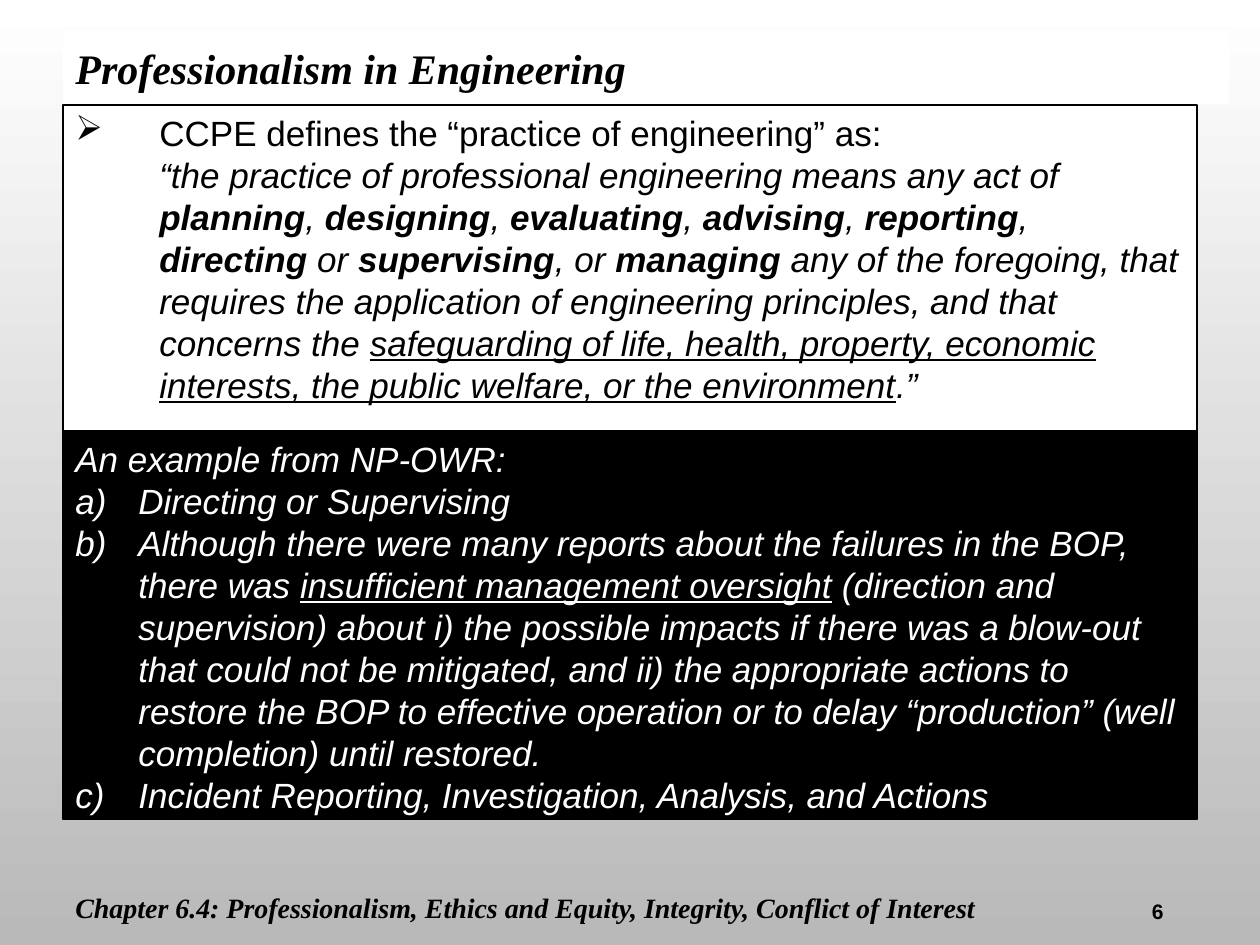
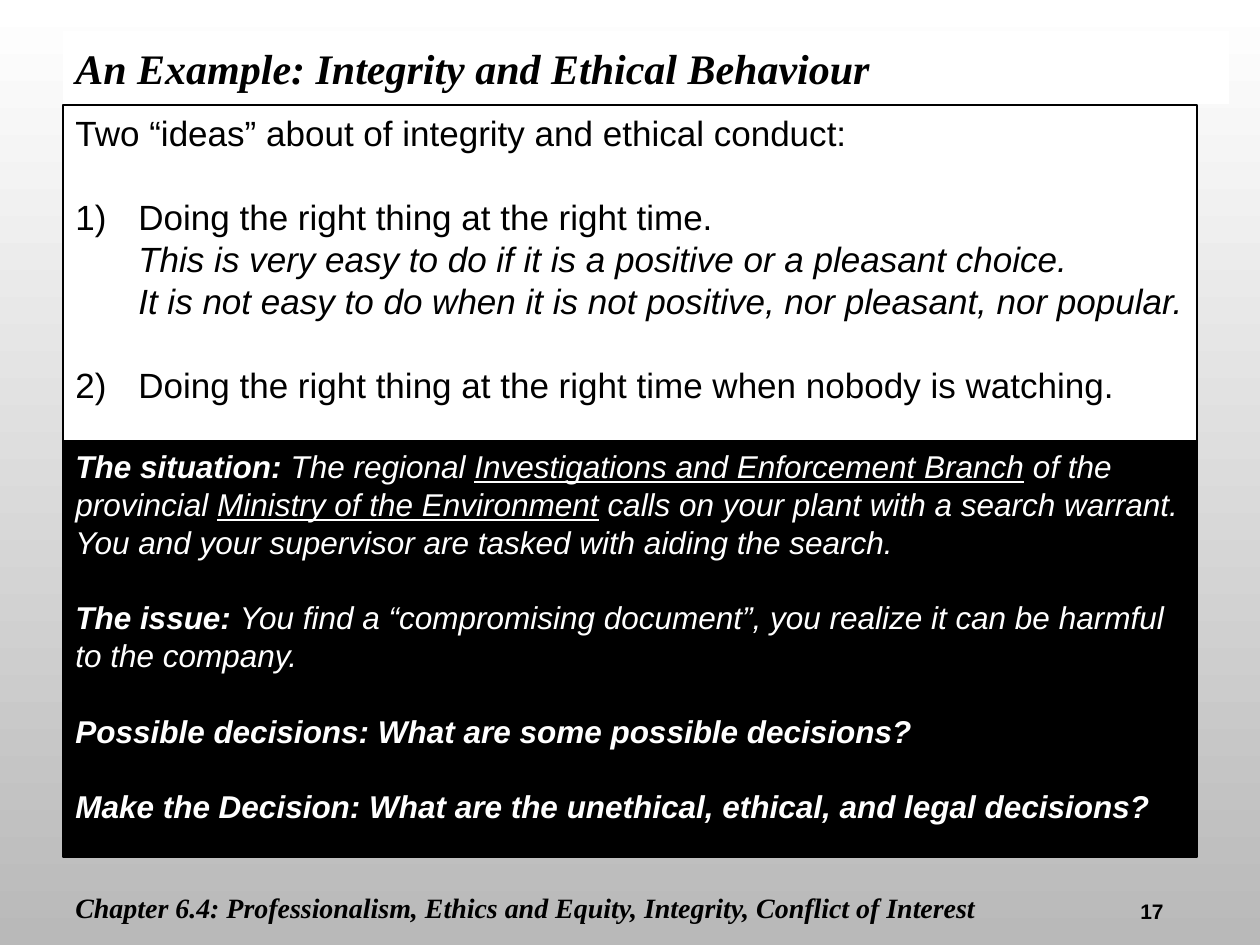
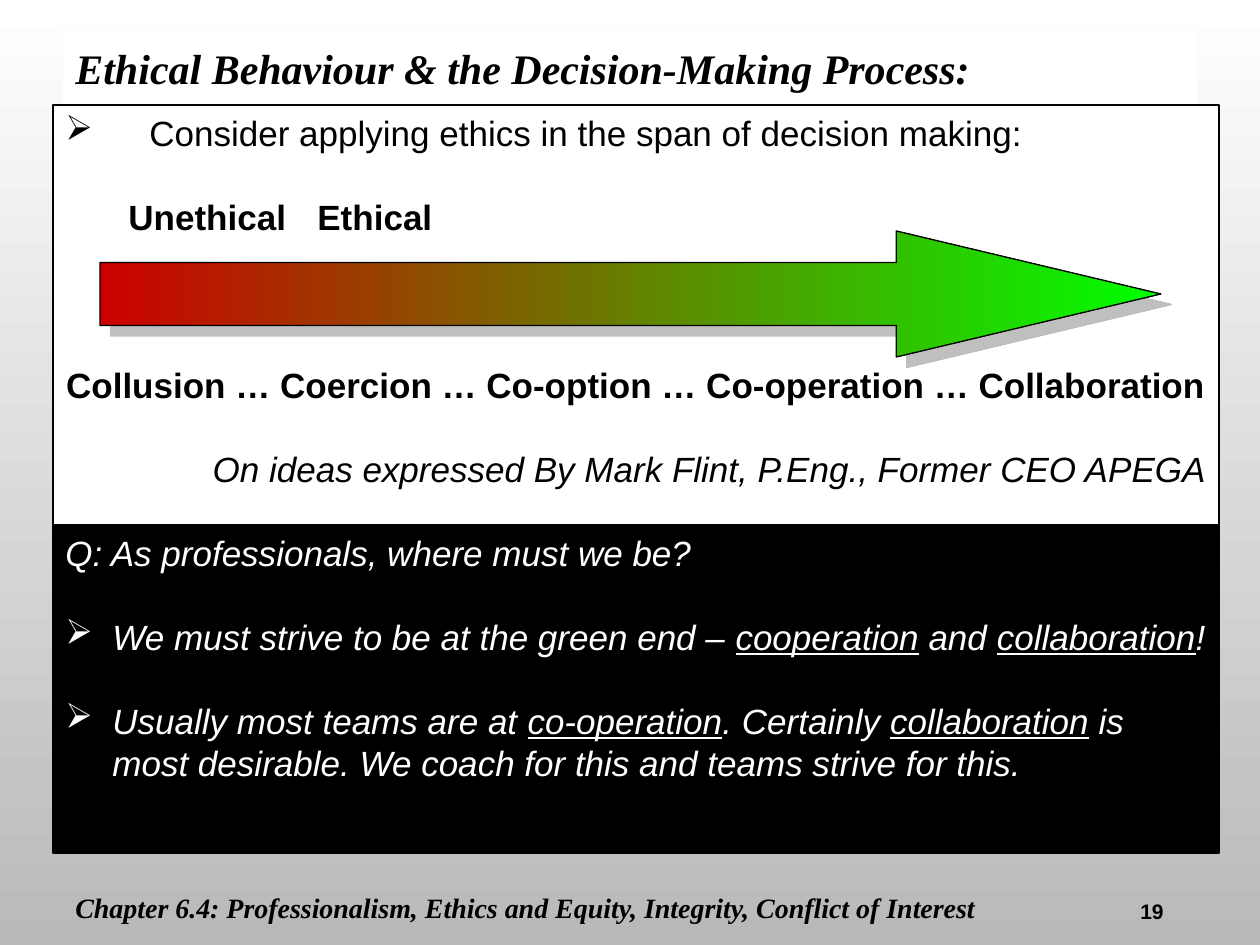
from lxml.etree import SubElement
from pptx import Presentation
from pptx.dml.color import RGBColor
from pptx.enum.shapes import MSO_SHAPE
from pptx.enum.text import MSO_ANCHOR, PP_ALIGN
from pptx.oxml.ns import qn
from pptx.util import Pt

# Shared look
EMU_PER_PX = 914400 / 126
COLOURS = {
    "black": "000000",
    "white": "FFFFFF",
    "backdrop": "B9B9B9",
    "unethical": "CC0000",
    "ethical": "00FF00",
    "shadow": "808080",
}
BODY, SERIF = "Arial", "Times New Roman"
LINE_PITCH = 1.2
CHAPTER = "Chapter 6.4: Professionalism, Ethics and Equity, Integrity, Conflict of Interest"
HEADING = {"name": SERIF, "size": Pt(24), "bold": True, "italic": True}
FOOTER = {"name": SERIF, "size": Pt(16), "bold": True, "italic": True}
NUMBER = {"name": BODY, "size": Pt(12), "bold": True}
MARKS = {"b": "bold", "i": "italic", "u": "underline"}
ARROW_BULLET = ("a:buChar", {"char": "➢"})
LETTERS = ("a:buAutoNum", {"type": "alphaLcParenR"})


def px(length):
    return round(length * EMU_PER_PX)


def rgb(colour):
    return RGBColor.from_string(COLOURS[colour])


def para(*runs, **layout):
    """A paragraph: runs are plain strings or (text, marks) pairs."""
    return runs, layout


# Text
def add_run(paragraph, text, font_values, colour):
    run = paragraph.add_run()
    run.text = text
    for attribute, value in font_values.items():
        setattr(run.font, attribute, value)
    run.font.color.rgb = rgb(colour)


def lay_out(paragraph, size, gap=0, indent=0, hanging=0, bullet=None, tabs=(),
            align=PP_ALIGN.LEFT):
    """Set indents, bullet, tabs and spacing; gap counts empty lines before."""
    properties = paragraph._p.get_or_add_pPr()
    properties.set("marL", str(px(indent)))
    properties.set("indent", str(-px(hanging)))
    if bullet:
        tag, values = bullet
        SubElement(properties, qn(tag), values)
    if tabs:
        stops = SubElement(properties, qn("a:tabLst"))
        for position, side in tabs:
            SubElement(stops, qn("a:tab"), {"pos": str(px(position)), "algn": side})
    pitch = size * LINE_PITCH
    spacing = {"alignment": align, "line_spacing": Pt(pitch), "space_before": Pt(gap * pitch)}
    for attribute, value in spacing.items():
        setattr(paragraph, attribute, value)


def write_paragraphs(frame, paragraphs, size, colour, italic):
    for index, (runs, layout) in enumerate(paragraphs):
        paragraph = frame.add_paragraph() if index else frame.paragraphs[0]
        lay_out(paragraph, size, **layout)
        for run in runs:
            text, marks = (run, "") if isinstance(run, str) else run
            values = {"name": BODY, "size": Pt(size), "italic": italic}
            values.update({MARKS[mark]: True for mark in marks})
            if text == "\n":
                paragraph.add_line_break()
            else:
                add_run(paragraph, text, values, colour)


def add_label(slide, box, text, font_values, **paragraph_values):
    frame = slide.shapes.add_textbox(*map(px, box)).text_frame
    frame.word_wrap = True
    write_label(frame, text, font_values, **paragraph_values)
    return frame


def write_label(frame, text, font_values, align=PP_ALIGN.LEFT):
    paragraph = frame.paragraphs[0]
    paragraph.alignment = align
    add_run(paragraph, text, font_values, "black")


# Shapes
def add_block(slide, box, fill, outlined=True, anchor=MSO_ANCHOR.TOP):
    block = slide.shapes.add_shape(MSO_SHAPE.RECTANGLE, *map(px, box))
    block.shadow.inherit = False
    block.fill.solid()
    block.fill.fore_color.rgb = rgb(fill)
    if outlined:
        outline(block)
    else:
        block.line.fill.background()
    block.text_frame.word_wrap = True
    block.text_frame.vertical_anchor = anchor
    return block.text_frame


def outline(shape):
    shape.line.color.rgb = rgb("black")
    shape.line.width = Pt(0.75)


def blend(fill, start, end, angle):
    fill.gradient()
    fill.gradient_angle = angle
    for stop, colour, position in zip(fill.gradient_stops, (start, end), (0, 1)):
        stop.color.rgb = rgb(colour)
        stop.position = position


def add_panel(slide, box, paragraphs, size=20, dark=False):
    frame = add_block(slide, box, "black" if dark else "white")
    write_paragraphs(frame, paragraphs, size, "white" if dark else "black", dark)


def add_ethics_arrow(slide, box):
    arrow = slide.shapes.add_shape(MSO_SHAPE.RIGHT_ARROW, *map(px, box))
    arrow.adjustments[0], arrow.adjustments[1] = 0.5, 2.1
    blend(arrow.fill, "unethical", "ethical", 0)
    outline(arrow)
    arrow.shadow.inherit = False
    effects = arrow._element.spPr.find(qn("a:effectLst"))
    cast = SubElement(effects, qn("a:outerShdw"), {
        "blurRad": "0", "dist": str(Pt(8.5)), "dir": "2700000",
        "algn": "ctr", "rotWithShape": "0"})
    tint = SubElement(cast, qn("a:srgbClr"), {"val": COLOURS["shadow"]})
    SubElement(tint, qn("a:alpha"), {"val": "50000"})


def add_page(deck, heading, number, heading_width, white_box, white_text):
    """Add a slide with its white panel, heading band, footer and number."""
    slide = deck.slides.add_slide(deck.slide_layouts[6])
    add_panel(slide, white_box, white_text)
    band = add_block(slide, (63, 31, heading_width, 73), "white", False, MSO_ANCHOR.MIDDLE)
    write_label(band, heading, HEADING)
    add_label(slide, (1050, 892, 126, 32), number, NUMBER, align=PP_ALIGN.RIGHT)
    footer = add_label(slide, (63, 869, 945, 76), CHAPTER, FOOTER)
    footer.vertical_anchor = MSO_ANCHOR.MIDDLE
    return slide


# Slides
def professionalism(deck):
    acts = ["planning", ", ", "designing", ", ", "evaluating", ", ", "advising", ", ",
            "reporting", ", ", "directing", " or ", "supervising", ", or ", "managing"]
    definition = para(
        "CCPE defines the “practice of engineering” as:", "\n",
        ("“the practice of professional engineering means any act of ", "i"),
        *[(act, "i" if position % 2 else "bi") for position, act in enumerate(acts)],
        (" any of the foregoing, that requires the application of engineering "
         "principles, and that concerns the ", "i"),
        ("safeguarding of life, health, property, economic interests, "
         "the public welfare, or the environment", "iu"),
        (".”", "i"),
        indent=84, hanging=84, bullet=ARROW_BULLET)
    slide = add_page(deck, "Professionalism in Engineering", "6", 1166,
                     (63, 105, 1134, 714), [definition])
    lettered = {"indent": 63, "hanging": 63, "bullet": LETTERS}
    add_panel(slide, (63, 431, 1134, 388), [
        para("An example from NP-OWR:"),
        para("Directing or Supervising", **lettered),
        para("Although there were many reports about the failures in the BOP, there was ",
             ("insufficient management oversight", "u"),
             " (direction and supervision) about i) the possible impacts if there was a "
             "blow-out that could not be mitigated, and ii) the appropriate actions to "
             "restore the BOP to effective operation or to delay “production” (well "
             "completion) until restored.", **lettered),
        para("Incident Reporting, Investigation, Analysis, and Actions", **lettered),
    ], dark=True)


def integrity(deck):
    numbered = {"gap": 1, "indent": 63, "hanging": 63}
    ideas = [
        para("Two “ideas” about of integrity and ethical conduct:"),
        para("1)\tDoing the right thing at the right time.", **numbered),
        para(("This is very easy to do if it is a positive or a pleasant choice.", "i"),
             indent=63),
        para(("It is not easy to do when it is not positive, nor pleasant, nor popular.", "i"),
             indent=63),
        para("2)\tDoing the right thing at the right time when nobody is watching.",
             **numbered),
    ]
    slide = add_page(deck, "An Example: Integrity and Ethical Behaviour", "17", 1166,
                     (63, 105, 1134, 746), ideas)
    add_panel(slide, (63, 441, 1134, 416), [
        para(("The situation: ", "b"), "The regional ",
             ("Investigations and Enforcement Branch", "u"), " of the provincial ",
             ("Ministry of the Environment", "u"),
             " calls on your plant with a search warrant. You and your supervisor are "
             "tasked with aiding the search."),
        para(("The issue: ", "b"),
             "You find a “compromising document”, you realize it can be harmful to the "
             "company.", gap=1),
        para(("Possible decisions: What are some possible decisions?", "b"), gap=1),
        para(("Make the Decision: What are the unethical, ethical, and legal decisions?", "b"),
             gap=1),
    ], size=18, dark=True)


def decision_making(deck):
    span = [
        para("Consider applying ethics in the span of decision making:",
             indent=84, hanging=84, bullet=ARROW_BULLET),
        para(("\tUnethical\tEthical", "b"), gap=1, tabs=[(29, "l"), (1107, "r")]),
        para(("Collusion … Coercion … Co-option … Co-operation … Collaboration", "b"),
             gap=3, align=PP_ALIGN.CENTER),
        para(("On ideas expressed By Mark Flint, P.Eng., Former CEO APEGA", "i"),
             gap=1, align=PP_ALIGN.RIGHT),
    ]
    slide = add_page(deck, "Ethical Behaviour & the Decision-Making Process:", "19", 1134,
                     (53, 105, 1166, 746), span)
    add_ethics_arrow(slide, (100, 231, 1061, 126))
    answer = {"gap": 1, "indent": 47, "hanging": 47, "bullet": ARROW_BULLET}
    add_panel(slide, (53, 525, 1166, 328), [
        para("Q: As professionals, where must we be?"),
        para("We must strive to be at the green end – ", ("cooperation", "u"), " and ",
             ("collaboration", "u"), "!", **answer),
        para("Usually most teams are at ", ("co-operation", "u"), ". Certainly ",
             ("collaboration", "u"),
             " is most desirable. We coach for this and teams strive for this.", **answer),
    ], dark=True)


def main():
    deck = Presentation()
    deck.slide_width, deck.slide_height = px(1260), px(945)
    blend(deck.slide_master.background.fill, "white", "backdrop", 270)
    professionalism(deck)
    integrity(deck)
    decision_making(deck)
    deck.save("out.pptx")


if __name__ == "__main__":
    main()
